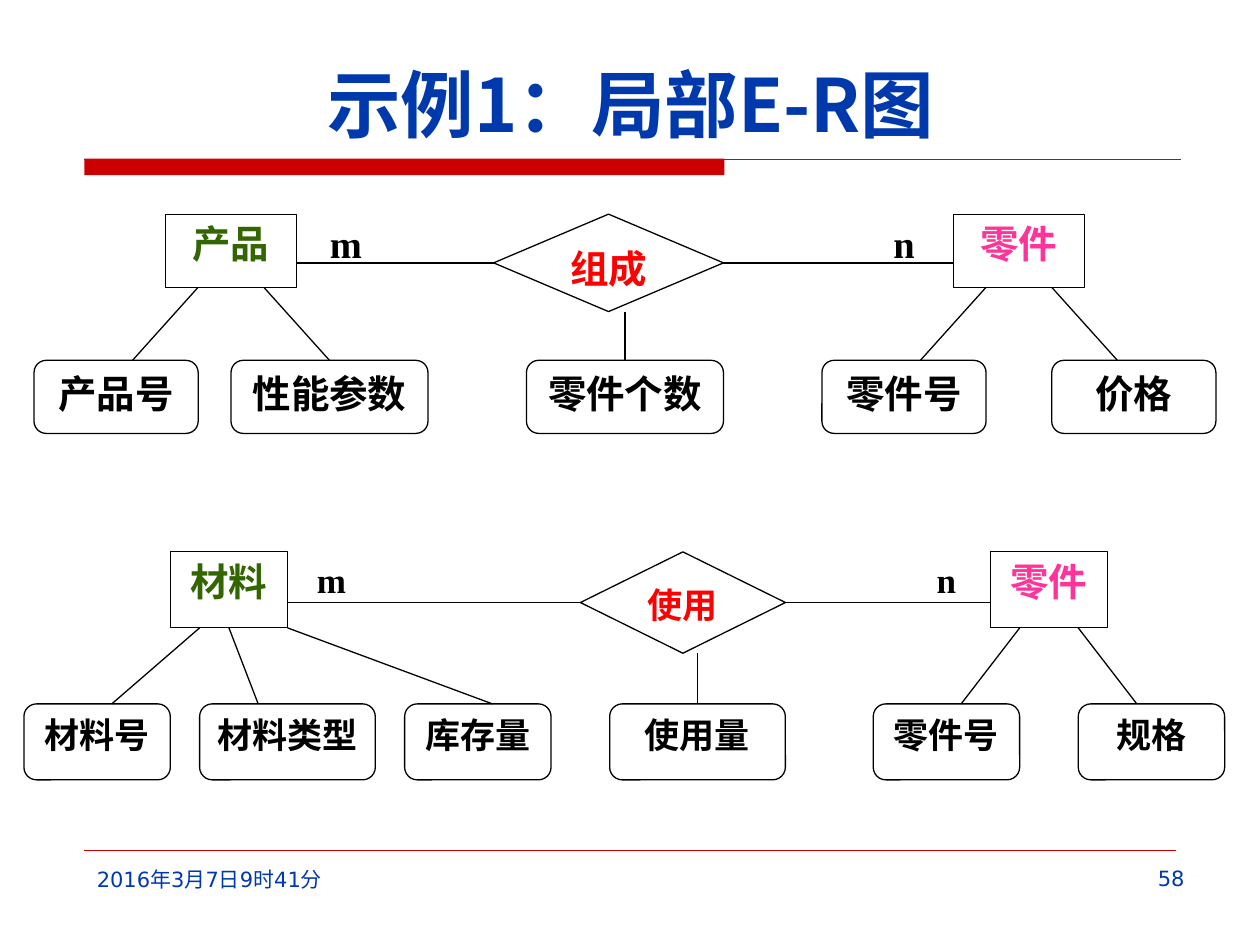
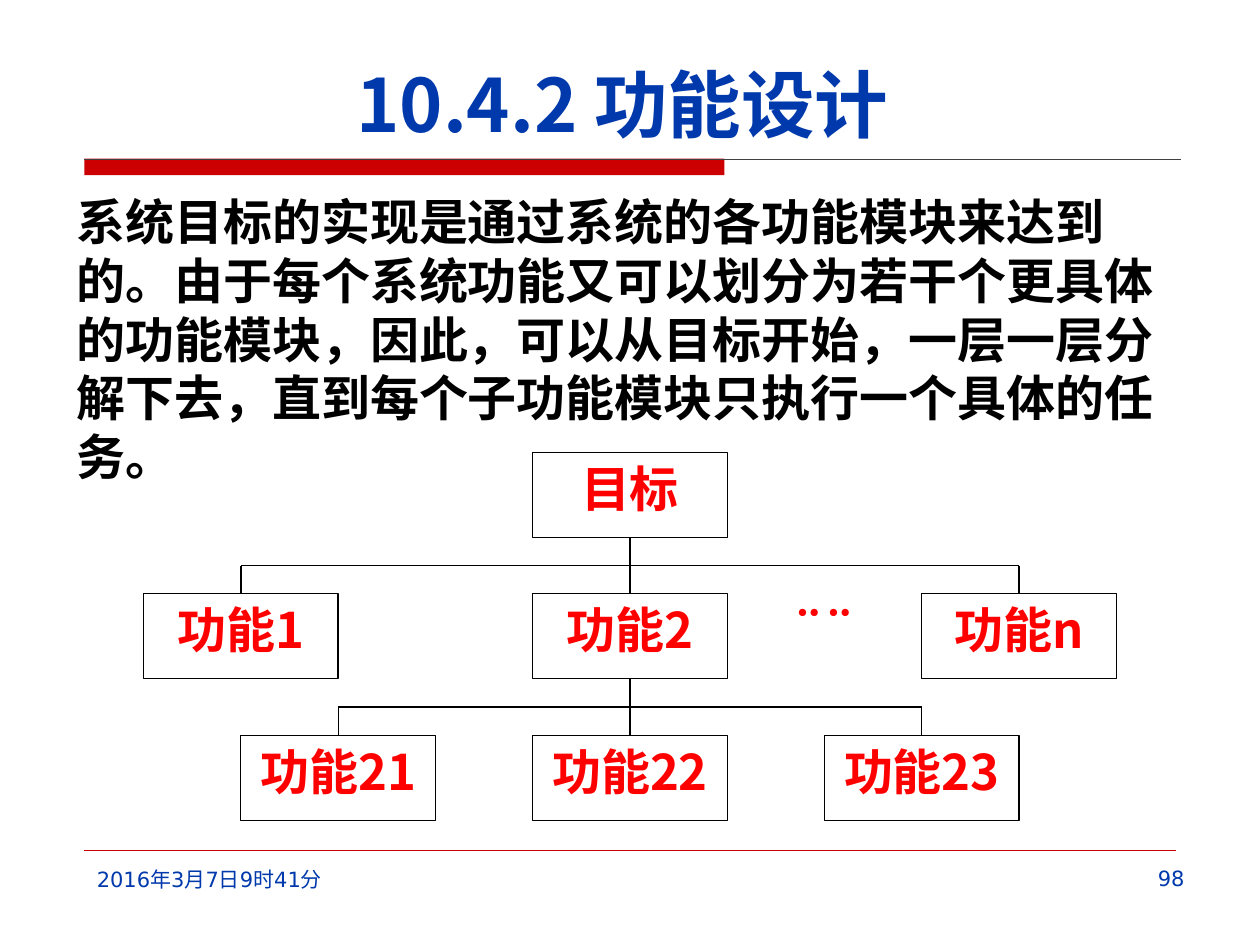
import dataclasses

import pptx
import pptx.dml.color
import pptx.enum.shapes
import pptx.enum.text
import pptx.oxml
import pptx.oxml.ns
import pptx.util

Inches = pptx.util.Inches
Shape = pptx.enum.shapes.MSO_SHAPE
Align = pptx.enum.text.PP_ALIGN
Anchor = pptx.enum.text.MSO_ANCHOR


@dataclasses.dataclass(frozen=True)
class Theme:
    blue: str = "0039AC"
    red: str = "CC0000"
    ink: str = "000000"
    gray: str = "404040"
    paper: str = "FFFFFF"
    green: str = "336600"
    pink: str = "FF3399"
    bright: str = "FF0000"
    sans: str = "Noto Sans CJK SC"
    serif: str = "Times New Roman"
    small: str = "DejaVu Sans"
    title: int = 42
    body: int = 28
    entity: int = 22
    detail: int = 20
    footer: int = 12
    stroke: float = 0.75
    hairline: float = 0.25


THEME = Theme()


def rgb(value):
    return pptx.dml.color.RGBColor.from_string(value)


def write(box, text, size, color, face=THEME.sans, bold=True,
          align=Align.CENTER, anchor=Anchor.TOP):
    frame = box.text_frame
    frame.word_wrap = True
    frame.vertical_anchor = anchor
    para = frame.paragraphs[0]
    para.alignment = align
    para._p.get_or_add_pPr().set("hangingPunct", "0")
    span = para.add_run()
    span.text = text
    span.font.size = pptx.util.Pt(size)
    span.font.bold = bold
    span.font.name = face
    span.font.color.rgb = rgb(color)
    east = pptx.oxml.parse_xml(
        f'<a:ea {pptx.oxml.ns.nsdecls("a")} typeface="{THEME.sans}"/>')
    span.font._element.find(pptx.oxml.ns.qn("a:latin")).addnext(east)


def add_text(page, left, top, width, height, *content, **style):
    box = page.shapes.add_textbox(*map(Inches, (left, top, width, height)))
    write(box, *content, **style)


def add_block(page, kind, left, top, width, height, fill, line=None):
    block = page.shapes.add_shape(kind, *map(Inches, (left, top, width, height)))
    block.shadow.inherit = False
    block.fill.solid()
    block.fill.fore_color.rgb = rgb(fill)
    if line:
        block.line.color.rgb = rgb(line)
        block.line.width = pptx.util.Pt(THEME.stroke)
    else:
        block.line.fill.background()
    return block


def add_line(page, start, end, color=THEME.ink, weight=THEME.stroke):
    line = page.shapes.add_connector(
        pptx.enum.shapes.MSO_CONNECTOR.STRAIGHT, *map(Inches, (*start, *end)))
    line.line.color.rgb = rgb(color)
    line.line.width = pptx.util.Pt(weight)
    line._element.spPr.append(pptx.oxml.parse_xml(
        f'<a:effectLst {pptx.oxml.ns.nsdecls("a")}/>'))
    return line


@dataclasses.dataclass
class Diagram:
    page: object
    left: float
    top: float
    width: float
    height: float
    columns: int
    rows: int
    sides: dict = dataclasses.field(default_factory=dict)

    def point(self, column, row):
        return (self.left + column * self.width / self.columns,
                self.top + row * self.height / self.rows)

    def place(self, kind, column, row, span, depth, line=None):
        left, top = self.point(column, row)
        right, bottom = self.point(column + span, row + depth)
        return add_block(self.page, kind, left, top, right - left,
                         bottom - top, THEME.paper, line)

    def label(self, text, column, row, span, depth, *style):
        write(self.place(Shape.RECTANGLE, column, row, span, depth), text, *style)

    def node(self, kind, text, column, row, span, depth, *style):
        block = self.place(kind, column, row, span, depth, THEME.ink)
        write(block, text, *style)
        middle, centre = column + span / 2, row + depth / 2
        sides = ((middle, row), (column, centre),
                 (middle, row + depth), (column + span, centre))
        for site, side in enumerate(sides):
            self.sides[side] = (block, site)

    def link(self, start, end):
        line = add_line(self.page, self.point(*start), self.point(*end))
        if start in self.sides:
            line.begin_connect(*self.sides[start])
        if end in self.sides:
            line.end_connect(*self.sides[end])


def add_relation(diagram, left, right, relation, attributes, links, size):
    serif = THEME.serif
    left_name, left_column = left
    right_name, right_column = right
    relation_name, relation_column = relation
    diagram.label("n", right_column - 3, 0, 3, 3, size, THEME.ink, serif)
    diagram.label("m", left_column + 4, 0, 3, 3, size, THEME.ink, serif)
    for name, column, color in ((left_name, left_column, THEME.green),
                                (right_name, right_column, THEME.pink)):
        diagram.node(Shape.RECTANGLE, name, column, 0, 4, 3,
                     THEME.entity, color, serif)
    diagram.node(Shape.DIAMOND, relation_name, relation_column, 0, 7, 4,
                 size, THEME.bright, serif)
    for name, column, span, *face in attributes:
        diagram.node(Shape.ROUNDED_RECTANGLE, name, column, 6, span, 3,
                     size, THEME.ink, *(face or [serif]))
    diagram.link((left_column + 4, 2), (relation_column, 2))
    diagram.link((relation_column + 7, 2), (right_column, 2))
    for start, end in links:
        diagram.link((start, 4 if start == end else 3), (end, 6))


def add_level(diagram, row, names):
    for name, column in names.items():
        diagram.node(Shape.RECTANGLE, name, column, row, 4, 3,
                     THEME.body, THEME.bright)


def add_branches(diagram, row, trunk, ends):
    diagram.link((trunk, row), (trunk, row + 2))
    diagram.link((ends[0], row + 1), (ends[1], row + 1))
    for end in ends:
        diagram.link((end, row + 1), (end, row + 2))


def add_page(deck, title, number):
    page = deck.slides.add_slide(deck.slide_layouts[6])
    add_block(page, Shape.RECTANGLE, 0.67, 1.26, 5.08, 0.13, THEME.red)
    add_line(page, (0.67, 1.26), (9.37, 1.26), THEME.gray, THEME.hairline)
    add_line(page, (0.67, 6.75), (9.33, 6.75), THEME.red, THEME.hairline)
    add_text(page, 0.63, 0.32, 8.75, 0.9, title, THEME.title, THEME.blue,
             anchor=Anchor.BOTTOM)
    for left, top, width, text, align in (
            (0.67, 6.83, 2.21, "2016年3月7日9时41分", Align.LEFT),
            (7.33, 6.82, 2.17, number, Align.RIGHT)):
        add_text(page, left, top, width, 0.52, text, THEME.footer, THEME.blue,
                 face=THEME.small, bold=False, align=align)
    return page


def add_entity_page(deck):
    page = add_page(deck, "示例1：局部E-R图", "58")
    add_relation(
        Diagram(page, 0.27, 1.7, 9.38, 1.74, 36, 9),
        ("产品", 4), ("零件", 28), ("组成", 14),
        (("产品号", 0, 5), ("性能参数", 6, 6), ("零件个数", 15, 6),
         ("零件号", 24, 5), ("价格", 31, 5)),
        ((5, 3), (7, 9), (18, 18), (29, 27), (31, 33)), THEME.entity)
    add_relation(
        Diagram(page, 0.19, 4.38, 9.53, 1.81, 41, 9),
        ("材料", 5), ("零件", 33), ("使用", 19),
        (("材料号", 0, 5), ("材料类型", 6, 6, THEME.small), ("库存量", 13, 5),
         ("使用量", 20, 6), ("零件号", 29, 5), ("规格", 36, 5)),
        ((6, 3), (7, 8), (9, 16), (23, 23), (34, 32), (36, 38)), THEME.detail)


def add_function_page(deck):
    page = add_page(deck, "10.4.2 功能设计 ", "98")
    tree = Diagram(page, 1.14, 3.59, 7.72, 2.92, 20, 13)
    tree.label("¨¨", 12, 5, 4, 3, THEME.body, THEME.bright)
    add_level(tree, 0, {"目标": 8})
    add_level(tree, 5, {"功能1": 0, "功能2": 8, "功能n": 16})
    add_level(tree, 10, {"功能21": 2, "功能22": 8, "功能23": 14})
    add_branches(tree, 3, 10, (2, 18))
    add_branches(tree, 8, 10, (4, 16))
    add_text(page, 0.51, 1.47, 9.06, 1.97,
             "系统目标的实现是通过系统的各功能模块来达到的。由于每个系统功能又可以"
             "划分为若干个更具体的功能模块，因此，可以从目标开始，一层一层分解下去，"
             "直到每个子功能模块只执行一个具体的任务。",
             THEME.body, THEME.ink, align=Align.LEFT)


def main():
    deck = pptx.Presentation()
    deck.slide_width = Inches(10)
    deck.slide_height = Inches(7.5)
    add_entity_page(deck)
    add_function_page(deck)
    deck.save("out.pptx")


if __name__ == "__main__":
    main()
